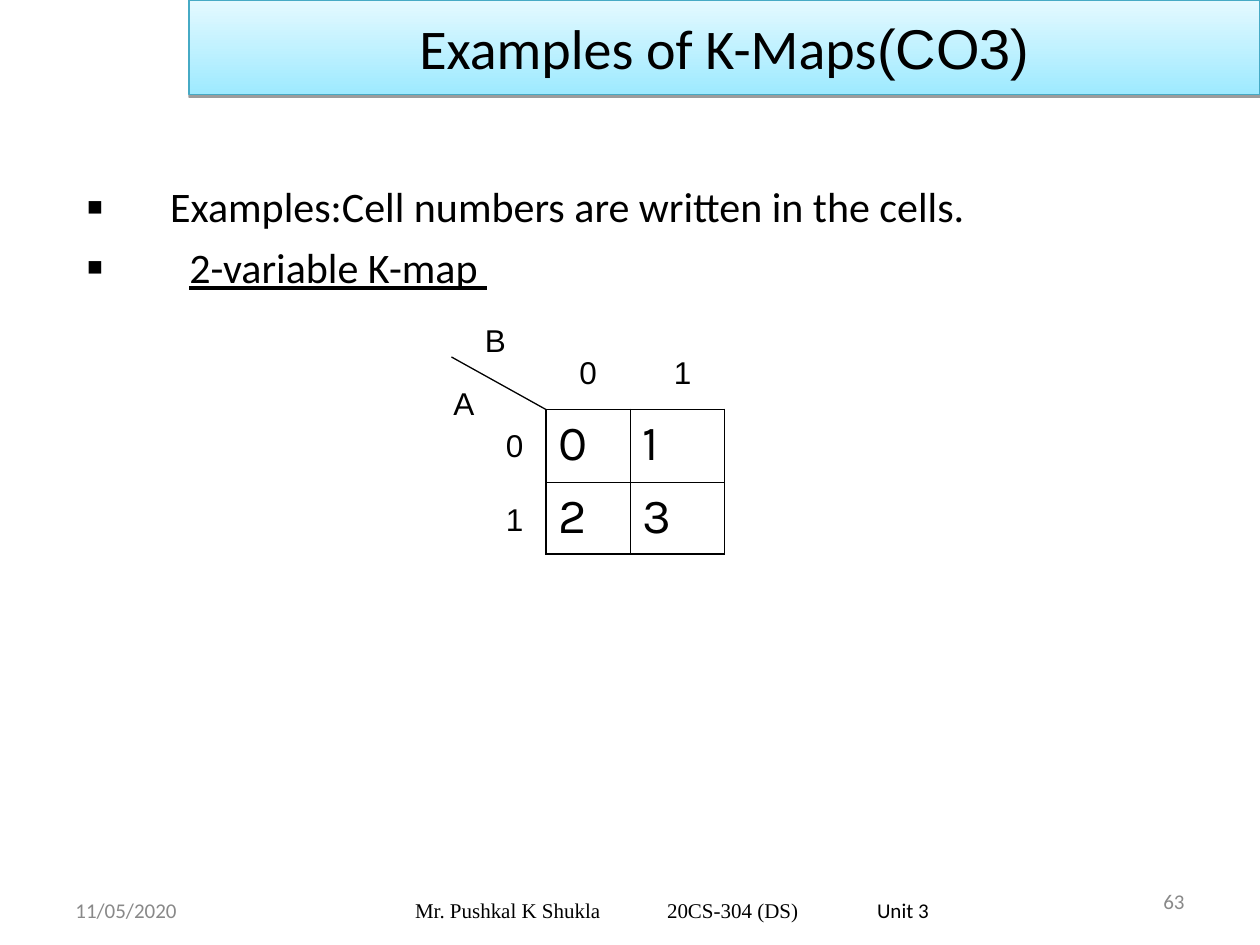
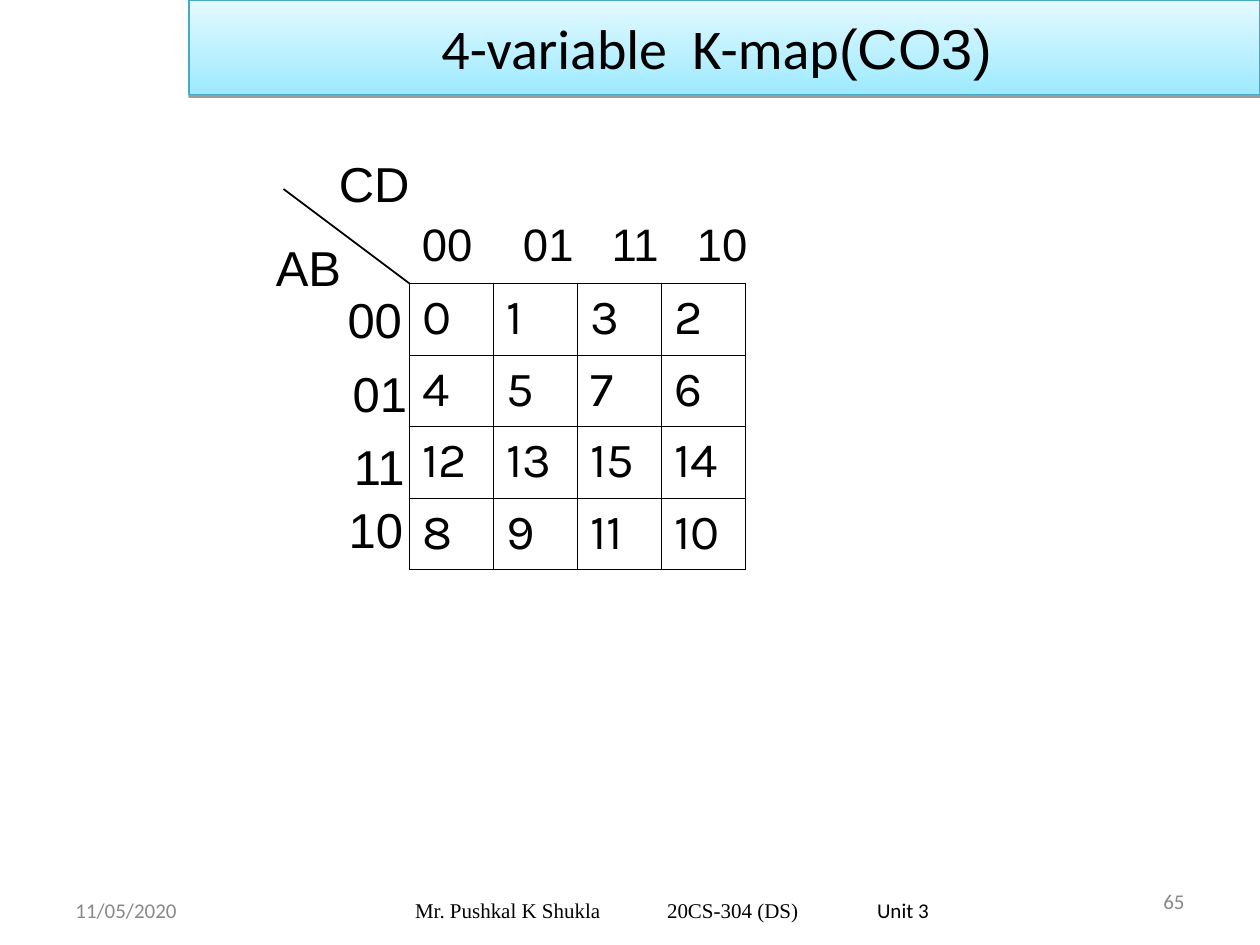
from dataclasses import dataclass

from lxml import etree
from pptx import Presentation
from pptx.dml.color import RGBColor
from pptx.enum.shapes import MSO_CONNECTOR
from pptx.enum.text import MSO_ANCHOR, MSO_AUTO_SIZE, PP_ALIGN
from pptx.oxml.ns import qn
from pptx.util import Pt

LEFT, CENTER, RIGHT = PP_ALIGN.LEFT, PP_ALIGN.CENTER, PP_ALIGN.RIGHT
MIDDLE, TOP = MSO_ANCHOR.MIDDLE, MSO_ANCHOR.TOP
NO_AUTOFIT = MSO_AUTO_SIZE.NONE
STRAIGHT = MSO_CONNECTOR.STRAIGHT

COLORS = {
    "text": "000000",
    "muted": "898989",
    "band_bottom": "9EEAFF",
    "band_top": "E4F9FF",
    "band_line": "46AAC5",
}
BODY_FONT, LABEL_FONT, CELL_FONT, FOOTER_FONT = "Calibri", "Arial", "Karla", "Times New Roman"
OUTER_BORDER, INNER_BORDER = 1.08, 0.45
TITLE_ONLY, TITLE_AND_CONTENT = 5, 1


@dataclass
class TextRun:
    text: str
    size: float
    font: str = LABEL_FONT
    color: str = "text"
    underline: bool = False


@dataclass
class TextBox:
    left: float
    top: float
    width: float
    height: float
    runs: list[TextRun]
    align: PP_ALIGN = LEFT
    anchor: MSO_ANCHOR = TOP
    wrap: bool = False
    margin_left: float = 7.2
    tabs: tuple[float, ...] = ()


@dataclass
class KMap:
    left: float
    top: float
    columns: list[float]
    rows: list[float]
    cells: list[list[int]]
    corner_start: tuple[float, float]
    corner_width: float
    labels: list[TextBox]


def rgb(name: str) -> RGBColor:
    return RGBColor.from_string(COLORS[name])


def add_runs(paragraph, runs: list[TextRun]) -> None:
    for item in runs:
        run = paragraph.add_run()
        run.text = item.text
        run.font.size = Pt(item.size)
        run.font.name = item.font
        run.font.color.rgb = rgb(item.color)
        if item.underline:
            run.font.underline = True


def add_text(slide, box: TextBox) -> None:
    shape = slide.shapes.add_textbox(Pt(box.left), Pt(box.top), Pt(box.width), Pt(box.height))
    frame = shape.text_frame
    frame.word_wrap = box.wrap
    frame.vertical_anchor = box.anchor
    frame.margin_left = Pt(box.margin_left)
    paragraph = frame.paragraphs[0]
    paragraph.alignment = box.align
    if box.tabs:
        tab_list = etree.SubElement(paragraph._p.get_or_add_pPr(), qn("a:tabLst"))
        for position in box.tabs:
            etree.SubElement(tab_list, qn("a:tab"), pos=str(Pt(position)), algn="l")
    add_runs(paragraph, box.runs)


def place(shape, left: float, top: float, width: float, height: float) -> None:
    shape.left, shape.top = Pt(left), Pt(top)
    shape.width, shape.height = Pt(width), Pt(height)


def format_title(shape, text: str, suffix: str) -> None:
    place(shape, 108, 0, 612, 54)
    shape.fill.gradient()
    shape.fill.gradient_angle = 90
    for stop, color in zip(shape.fill.gradient_stops, ("band_bottom", "band_top")):
        stop.color.rgb = rgb(color)
    shape.line.color.rgb = rgb("band_line")
    shape.line.width = Pt(0.75)

    # Thin shadow below the band
    shape.shadow.inherit = False
    effects = shape._element.spPr.find(qn("a:effectLst"))
    shadow = etree.SubElement(effects, qn("a:outerShdw"), blurRad="0", dist=str(Pt(1.6)),
                              dir="5400000", rotWithShape="0")
    shadow_color = etree.SubElement(shadow, qn("a:srgbClr"), val=COLORS["text"])
    etree.SubElement(shadow_color, qn("a:alpha"), val="38000")

    frame = shape.text_frame
    frame.auto_size = NO_AUTOFIT
    frame.vertical_anchor = MIDDLE
    paragraph = frame.paragraphs[0]
    paragraph.alignment = CENTER
    add_runs(paragraph, [TextRun(text, 32, BODY_FONT), TextRun(suffix, 32)])


def add_bullet(paragraph, run: TextRun, indent: float, space_before: float) -> None:
    properties = paragraph._p.get_or_add_pPr()
    properties.set("marL", str(Pt(indent)))
    properties.set("indent", str(-Pt(indent)))
    bullet_color = etree.SubElement(properties, qn("a:buClr"))
    etree.SubElement(bullet_color, qn("a:srgbClr"), val=COLORS["text"])
    etree.SubElement(properties, qn("a:buSzPct"), val="120000")
    etree.SubElement(properties, qn("a:buChar"), char="▪")
    paragraph.space_before = Pt(space_before)
    add_runs(paragraph, [run])


def set_border(cell, side: str, width: float) -> None:
    line = etree.SubElement(cell._tc.get_or_add_tcPr(), qn(f"a:ln{side}"), w=str(Pt(width)))
    fill = etree.SubElement(line, qn("a:solidFill"))
    etree.SubElement(fill, qn("a:srgbClr"), val=COLORS["text"])


def add_kmap(slide, kmap: KMap) -> None:
    last_row, last_column = len(kmap.rows) - 1, len(kmap.columns) - 1
    frame = slide.shapes.add_table(len(kmap.rows), len(kmap.columns), Pt(kmap.left), Pt(kmap.top),
                                   Pt(sum(kmap.columns)), Pt(sum(kmap.rows)))
    table = frame.table
    table.first_row = table.horz_banding = False
    for column, width in zip(table.columns, kmap.columns):
        column.width = Pt(width)
    for row, height in zip(table.rows, kmap.rows):
        row.height = Pt(height)

    # Heavier borders around the outside of the grid
    for row, values in enumerate(kmap.cells):
        for column, value in enumerate(values):
            cell = table.cell(row, column)
            outside = {"L": column == 0, "R": column == last_column,
                       "T": row == 0, "B": row == last_row}
            for side, is_outer in outside.items():
                set_border(cell, side, OUTER_BORDER if is_outer else INNER_BORDER)
            cell.fill.background()
            add_runs(cell.text_frame.paragraphs[0], [TextRun(str(value), 28, CELL_FONT)])

    # Diagonal between the variable names
    start_left, start_top = kmap.corner_start
    diagonal = slide.shapes.add_connector(STRAIGHT, Pt(start_left), Pt(start_top),
                                          Pt(kmap.left), Pt(kmap.top))
    diagonal.line.color.rgb = rgb("text")
    diagonal.line.width = Pt(kmap.corner_width)
    etree.SubElement(diagonal._element.spPr, qn("a:effectLst"))

    for label in kmap.labels:
        add_text(slide, label)


def add_footer(slide, number: int) -> None:
    add_text(slide, TextBox(36, 505.5, 168, 28.8, [TextRun("11/05/2020", 12, BODY_FONT, "muted")],
                            anchor=MIDDLE, wrap=True))
    add_text(slide, TextBox(516, 500.5, 168, 28.8, [TextRun(str(number), 12, BODY_FONT, "muted")],
                            align=RIGHT, anchor=MIDDLE, wrap=True))
    add_text(slide, TextBox(186, 505.5, 396, 28.8,
                            [TextRun("Mr. Pushkal K Shukla\t20CS-304 (DS)\t", 12, FOOTER_FONT),
                             TextRun("Unit 3", 12, BODY_FONT)],
                            anchor=MIDDLE, wrap=True, margin_left=51.2, tabs=(144, 264)))


def small_label(text: str, left: float, top: float) -> TextBox:
    return TextBox(left, top, 26 if text.isalpha() else 24.4, 29, [TextRun(text, 18)])


def large_label(text: str, left: float, top: float, width: float = 45.5) -> TextBox:
    return TextBox(left, top, width, 41, [TextRun(text, 28)])


TWO_VARIABLE_MAP = KMap(
    left=312, top=234, columns=[48, 54], rows=[41.75, 40.75],
    cells=[[0, 1], [2, 3]],
    corner_start=(258, 204), corner_width=0.75,
    labels=[
        small_label("B", 270, 180),
        small_label("A", 252, 216),
        *(small_label(str(bit), 324 + 54 * bit, 198) for bit in range(2)),
        *(small_label(str(bit), 282, 240 + 42 * bit) for bit in range(2)),
    ],
)

FOUR_VARIABLE_MAP = KMap(
    left=234, top=162, columns=[48] * 4, rows=[40.85] * 4,
    cells=[[0, 1, 3, 2], [4, 5, 7, 6], [12, 13, 15, 14], [8, 9, 11, 10]],
    corner_start=(162, 108), corner_width=1,
    labels=[
        TextBox(234, 120, 202, 39, [TextRun("00\t01\t11\t10", 26)],
                wrap=True, tabs=(57.8, 108.4, 157.1)),
        large_label("00", 191.5, 162),
        large_label("01", 194.4, 204),
        large_label("11", 195.1, 246),
        large_label("10", 192.2, 282),
        large_label("CD", 186.5, 84, 54.8),
        large_label("AB", 150.5, 132, 51.8),
    ],
)


def add_slide(presentation, layout: int, title: str, suffix: str, kmap: KMap, number: int):
    slide = presentation.slides.add_slide(presentation.slide_layouts[layout])
    format_title(slide.shapes.title, title, suffix)
    add_kmap(slide, kmap)
    add_footer(slide, number)
    return slide


def main() -> None:
    presentation = Presentation()
    presentation.slide_width, presentation.slide_height = Pt(720), Pt(540)

    # Two-variable map with its introduction
    slide = add_slide(presentation, TITLE_AND_CONTENT, "Examples of K-Maps", "(CO3)",
                      TWO_VARIABLE_MAP, 63)
    body = slide.placeholders[1]
    place(body, 42, 99.5, 648, 356.5)
    frame = body.text_frame
    frame.auto_size = NO_AUTOFIT
    add_bullet(frame.paragraphs[0],
               TextRun("Examples:Cell numbers are written in the cells.", 24, BODY_FONT), 48, 0)
    add_bullet(frame.add_paragraph(),
               TextRun("2-variable K-map ", 24, BODY_FONT, underline=True), 59, 6)

    # Four-variable map
    add_slide(presentation, TITLE_ONLY, "4-variable  K-map", "(CO3) ", FOUR_VARIABLE_MAP, 65)

    presentation.save("out.pptx")


if __name__ == "__main__":
    main()
